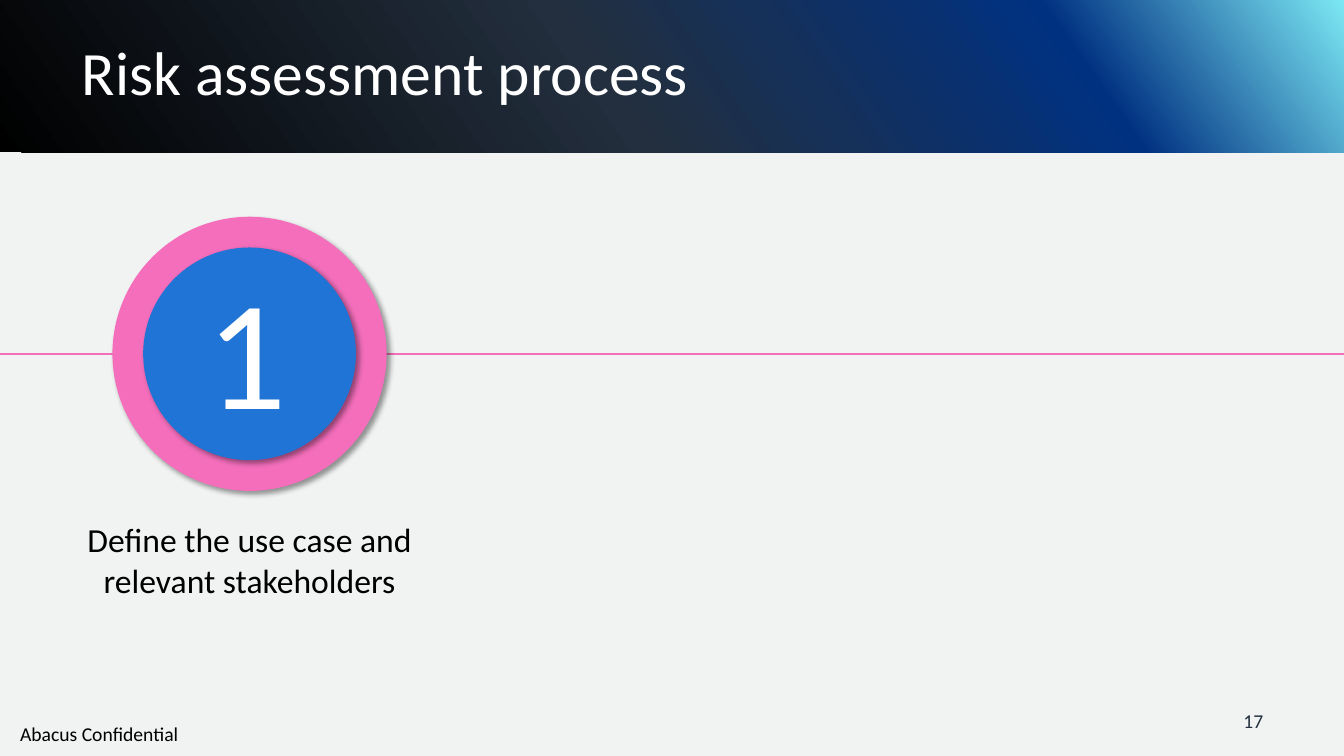
import lxml.etree
import pptx
import pptx.dml.color
import pptx.enum.shapes
import pptx.enum.text
import pptx.oxml
import pptx.oxml.ns
import pptx.util

Inches = pptx.util.Inches
Shape = pptx.enum.shapes.MSO_SHAPE
Align = pptx.enum.text.PP_ALIGN
Anchor = pptx.enum.text.MSO_ANCHOR
qn = pptx.oxml.ns.qn

WIDTH, HEIGHT = 13.33, 7.5
BLACK, WHITE, INK = "000000", "FFFFFF", "232F3E"
PINK, BLUE, PAPER = "F46EBB", "2074D5", "F1F3F3"
HEADER_STOPS = [(0, BLACK), (45, INK), (79, "003181"), (100, "7CE8F4")]


def color(value):
    return pptx.dml.color.RGBColor.from_string(value)


def write(shape, text, size, ink, font="Calibri", align=Align.LEFT,
          anchor=Anchor.TOP, inset=None):
    """Put one formatted run in a shape; inset in inches replaces all margins."""
    frame = shape.text_frame
    frame.word_wrap = True
    frame.auto_size = pptx.enum.text.MSO_AUTO_SIZE.NONE
    frame.vertical_anchor = anchor
    if inset is not None:
        frame.margin_left = frame.margin_right = Inches(inset)
        frame.margin_top = frame.margin_bottom = Inches(inset)
    paragraph = frame.paragraphs[0]
    paragraph.alignment = align
    run = paragraph.add_run()
    run.text = text
    run.font.size = pptx.util.Pt(size)
    run.font.name = font
    run.font.color.rgb = color(ink)
    return paragraph


def add_text(shapes, box, text, size, ink, **style):
    write(shapes.add_textbox(*map(Inches, box)), text, size, ink, **style)


def set_gradient(shape, stops, angle):
    """Fill with (percent, colour) stops; angle is counter-clockwise."""
    shape.fill.gradient()
    shape.fill.gradient_angle = angle
    stop_list = shape.element.spPr.find(".//" + qn("a:gsLst"))
    for stop in list(stop_list):
        stop_list.remove(stop)
    for percent, value in stops:
        stop = lxml.etree.SubElement(stop_list, qn("a:gs"), pos=str(percent * 1000))
        lxml.etree.SubElement(stop, qn("a:srgbClr"), val=value)


def add_shadow(shape):
    shape.shadow.inherit = False
    effects = shape.element.spPr.find(qn("a:effectLst"))
    shadow = lxml.etree.SubElement(
        effects, qn("a:outerShdw"), blurRad=str(pptx.util.Pt(4)),
        dist=str(pptx.util.Pt(3)), dir=str(45 * 60000), algn="tl", rotWithShape="0")
    shade = lxml.etree.SubElement(shadow, qn("a:srgbClr"), val=BLACK)
    lxml.etree.SubElement(shade, qn("a:alpha"), val="40000")


def add_header(slide, box, text):
    left, top, width, height = box
    band = slide.shapes.add_shape(Shape.RECTANGLE, *map(Inches, box))
    band.shadow.inherit = False
    band.line.fill.background()
    set_gradient(band, HEADER_STOPS, 35)

    title = slide.shapes.title
    title.element.addprevious(band.element)
    title.left, title.top = Inches(left + 0.71), Inches(top + 0.17)
    title.width, title.height = Inches(width - 1.38), Inches(height - 0.35)
    paragraph = write(title, text, 44, WHITE, anchor=Anchor.MIDDLE)
    paragraph.line_spacing = 0.9


def add_timeline(slide, left, y, width):
    line = slide.shapes.add_connector(
        pptx.enum.shapes.MSO_CONNECTOR.STRAIGHT,
        Inches(left), Inches(y), Inches(left + width), Inches(y))
    line.line.color.rgb = color(PINK)
    line.line.width = pptx.util.Pt(1.5)
    lxml.etree.SubElement(line.element.spPr, qn("a:effectLst"))


def add_circle(shapes, center_x, center_y, diameter, fill):
    circle = shapes.add_shape(
        Shape.OVAL, Inches(center_x - diameter / 2), Inches(center_y - diameter / 2),
        Inches(diameter), Inches(diameter))
    circle.fill.solid()
    circle.fill.fore_color.rgb = color(fill)
    circle.line.fill.background()
    add_shadow(circle)
    return circle


def add_step(slide, box, number, caption):
    """Draw a numbered badge at the top of the box and its caption at the bottom."""
    left, top, width, height = box
    shapes = slide.shapes.add_group_shape().shapes
    ring, caption_height = 2.72, 0.81
    center = left + width / 2, top + ring / 2
    add_circle(shapes, *center, ring, PINK)
    disc = add_circle(shapes, *center, 2.11, BLUE)
    write(disc, number, 100, WHITE, font="Lato", align=Align.CENTER,
          anchor=Anchor.MIDDLE, inset=0)
    add_text(shapes, (left, top + height - caption_height, width, caption_height),
             caption, 24, BLACK, align=Align.CENTER, inset=0)


def add_footer(slide, box, notice, number):
    left, top, width, height = box
    add_text(slide.shapes, (left + 0.1, top + 0.16, 2.11, 0.34), notice, 14, BLACK)
    add_text(slide.shapes, (left + width - 5.21, top, 4.41, 0.4), number, 14, INK,
             align=Align.RIGHT, anchor=Anchor.MIDDLE, inset=0)


def main():
    presentation = pptx.Presentation()
    presentation.slide_width = Inches(WIDTH)
    presentation.slide_height = Inches(HEIGHT)
    slide = presentation.slides.add_slide(presentation.slide_layouts[5])
    slide.background.fill.solid()
    slide.background.fill.fore_color.rgb = color(PAPER)

    add_header(slide, (0, 0, WIDTH, 1.51), "Risk assessment process")
    add_timeline(slide, 0, 3.51, WIDTH)
    add_step(slide, (0.68, 2.15, 3.59, 3.81), "1",
             "Define the use case and relevant stakeholders")
    add_footer(slide, (0, 6.95, WIDTH, 0.55), "Abacus Confidential", "17")
    presentation.save("out.pptx")


if __name__ == "__main__":
    main()
